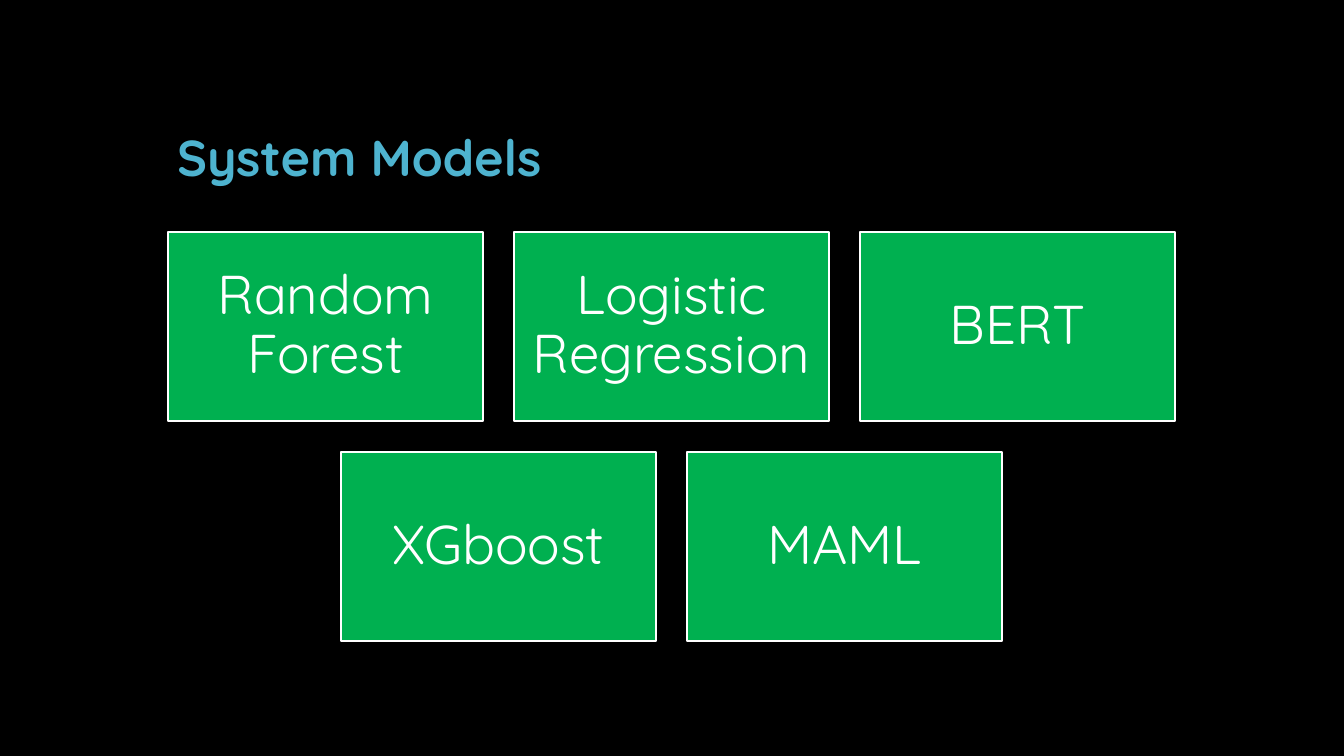
from dataclasses import dataclass

from pptx import Presentation
from pptx import util as u
from pptx.dml.color import RGBColor
from pptx.enum import shapes, text
from pptx.slide import Slide
from pptx.text.text import TextFrame

EMU_PER_PX = 914400 / 100.8
SLIDE_WIDTH, SLIDE_HEIGHT = 1344, 756
CARD_WIDTH, CARD_HEIGHT, CARD_GAP, CARD_INSET = 315, 189, 31, 16
ROWS_TOP, ROWS_CENTER = 232, 671
MODEL_ROWS = (
    ("Random Forest", "Logistic Regression", "BERT"),
    ("XGboost", "MAML"),
)


@dataclass(frozen=True)
class Theme:
    background: RGBColor = RGBColor.from_string("000000")
    heading: RGBColor = RGBColor.from_string("4EB3CF")
    card: RGBColor = RGBColor.from_string("00B050")
    contrast: RGBColor = RGBColor.from_string("FFFFFF")
    font: str = "Quicksand"
    heading_size: int = 36
    model_size: int = 39
    outline: int = 1
    line_spacing: float = 0.9


@dataclass(frozen=True)
class ModelCard:
    model: str
    left: int
    top: int


THEME = Theme()


def px(length: int) -> u.Emu:
    return u.Emu(round(length * EMU_PER_PX))


def apply(target: object, formats: dict[str, object]) -> None:
    for attribute, value in formats.items():
        setattr(target, attribute, value)


def write(frame: TextFrame, wording: str, size: int, color: RGBColor,
          bold: bool, align: text.PP_ALIGN, anchor: text.MSO_ANCHOR) -> None:
    apply(frame, {"text": wording, "word_wrap": True,
                  "auto_size": text.MSO_AUTO_SIZE.NONE, "vertical_anchor": anchor})
    paragraph = frame.paragraphs[0]
    apply(paragraph, {"alignment": align, "line_spacing": THEME.line_spacing})
    font = paragraph.runs[0].font
    apply(font, {"name": THEME.font, "size": u.Pt(size), "bold": bold})
    font.color.rgb = color


def add_heading(slide: Slide) -> None:
    heading = slide.shapes.title
    apply(heading, {"left": px(167), "top": px(42),
                    "width": px(1008), "height": px(151)})
    write(heading.text_frame, "System Models", THEME.heading_size, THEME.heading,
          True, text.PP_ALIGN.LEFT, text.MSO_ANCHOR.BOTTOM)


def arrange_cards() -> list[ModelCard]:
    cards = []
    for row, models in enumerate(MODEL_ROWS):
        row_width = len(models) * (CARD_WIDTH + CARD_GAP) - CARD_GAP
        row_left = ROWS_CENTER - row_width // 2
        top = ROWS_TOP + row * (CARD_HEIGHT + CARD_GAP)
        for column, model in enumerate(models):
            left = row_left + column * (CARD_WIDTH + CARD_GAP)
            cards.append(ModelCard(model, left, top))
    return cards


def add_card(slide: Slide, card: ModelCard) -> None:
    box = slide.shapes.add_shape(
        shapes.MSO_SHAPE.RECTANGLE, px(card.left), px(card.top),
        px(CARD_WIDTH), px(CARD_HEIGHT))
    box.shadow.inherit = False
    box.fill.solid()
    box.fill.fore_color.rgb = THEME.card
    box.line.color.rgb = THEME.contrast
    box.line.width = u.Pt(THEME.outline)
    sides = ("left", "top", "right", "bottom")
    apply(box.text_frame, {f"margin_{side}": px(CARD_INSET) for side in sides})
    write(box.text_frame, card.model, THEME.model_size, THEME.contrast,
          False, text.PP_ALIGN.CENTER, text.MSO_ANCHOR.MIDDLE)


def main() -> None:
    deck = Presentation()
    apply(deck, {"slide_width": px(SLIDE_WIDTH), "slide_height": px(SLIDE_HEIGHT)})
    slide = deck.slides.add_slide(deck.slide_layouts.get_by_name("Title Only"))
    slide.background.fill.solid()
    slide.background.fill.fore_color.rgb = THEME.background
    add_heading(slide)
    for card in arrange_cards():
        add_card(slide, card)
    deck.save("out.pptx")


if __name__ == "__main__":
    main()
